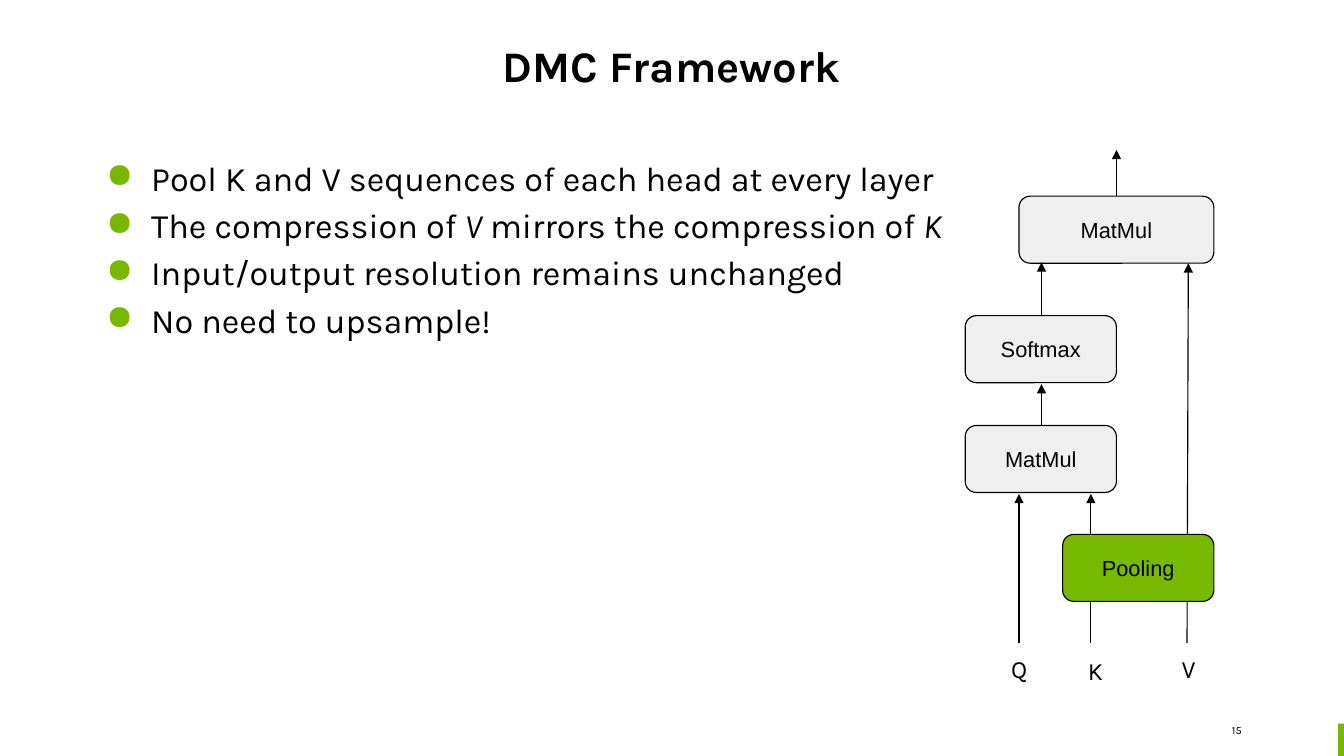
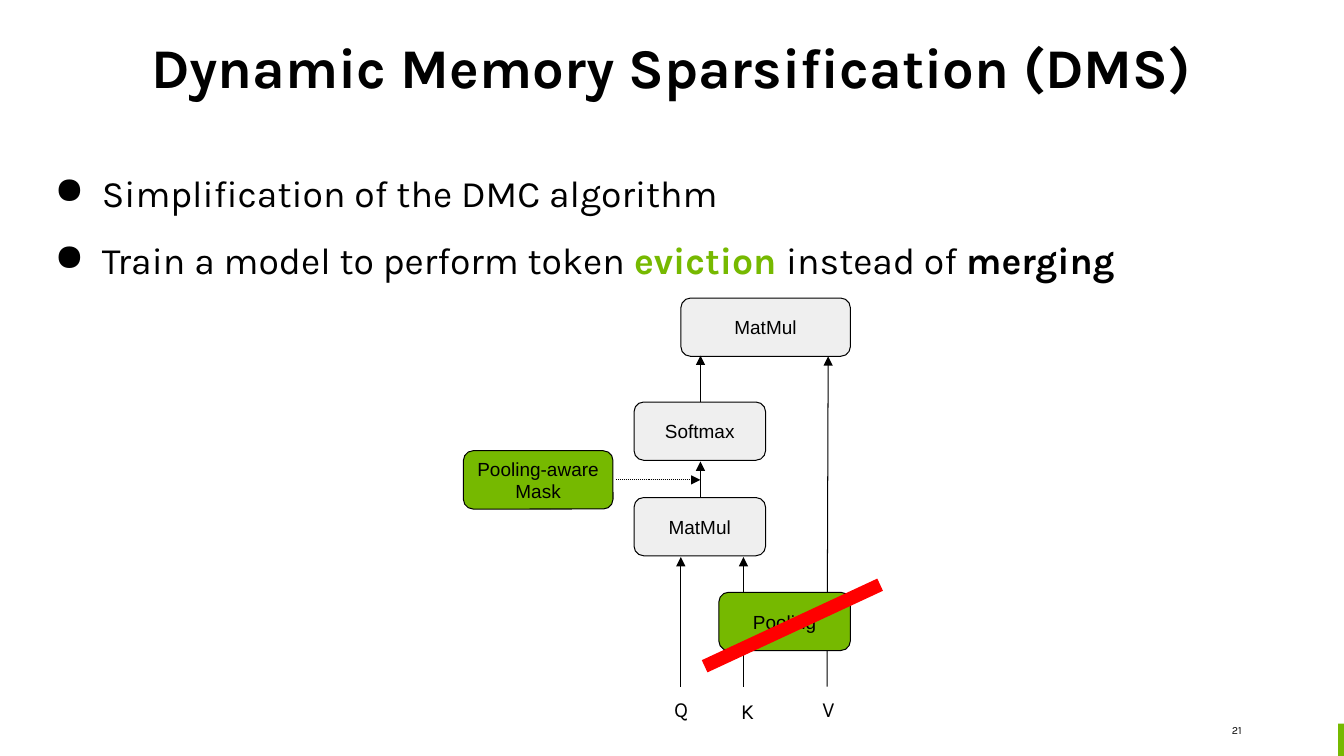
"""Builds two slides on pooling and evicting attention keys and values."""
import pptx
import pptx.dml.color
import pptx.enum.dml
import pptx.enum.shapes
import pptx.enum.text
import pptx.oxml.ns
import pptx.util
from lxml import etree
from pptx.util import Cm

GREEN = pptx.dml.color.RGBColor(0x76, 0xB9, 0x00)
GREY = pptx.dml.color.RGBColor(0xEF, 0xEF, 0xEF)
BLACK = pptx.dml.color.RGBColor(0x00, 0x00, 0x00)
RED = pptx.dml.color.RGBColor(0xFF, 0x00, 0x00)
TEXT_FONT = "Karla"
BOX_FONT = "Arial"
ALIGN = pptx.enum.text.PP_ALIGN
ANCHOR = pptx.enum.text.MSO_ANCHOR
SHAPE = pptx.enum.shapes.MSO_SHAPE
BOX_WIDTH = 3.43
BOX_HEIGHT = 1.52


def add_element(parent, tag, **attributes):
    return etree.SubElement(parent, pptx.oxml.ns.qn(tag), attributes)


class Deck:
    def __init__(self):
        self.presentation = pptx.Presentation()
        self.presentation.slide_width = Cm(30.48)
        self.presentation.slide_height = Cm(30.48) * 9 // 16
        self.slide = None

    def start_slide(self, title, top, size, number):
        self.slide = self.presentation.slides.add_slide(self.presentation.slide_layouts[5])
        shape = self.slide.shapes.title
        shape.left, shape.top, shape.width, shape.height = Cm(2.08), Cm(top), Cm(26.29), Cm(2.11)
        shape.text_frame.text = title
        self.format_frame(shape, 0.08, 0.03, ANCHOR.BOTTOM)
        paragraph = shape.text_frame.paragraphs[0]
        paragraph.line_spacing = 0.9
        self.format_paragraph(paragraph, size, ALIGN.CENTER, bold=True)
        self.block(SHAPE.RECTANGLE, 30.35, 16.41, 0.13, 0.74, GREEN)
        self.text(str(number), 21.51, 16.1, 6.68, 0.91, 7, ALIGN.RIGHT, 0.03, ANCHOR.MIDDLE)

    def format_frame(self, shape, side, edge, anchor):
        frame = shape.text_frame
        frame.auto_size = pptx.enum.text.MSO_AUTO_SIZE.NONE
        frame.word_wrap = True
        frame.vertical_anchor = anchor
        frame.margin_left = frame.margin_right = Cm(side)
        frame.margin_top = frame.margin_bottom = Cm(edge)

    def format_paragraph(self, paragraph, size, alignment, font=TEXT_FONT, bold=False):
        paragraph.alignment = alignment
        for run in paragraph.runs:
            run.font.name = font
            run.font.size = pptx.util.Pt(size)
            run.font.bold = bold
            run.font.color.rgb = BLACK

    def text(self, text, left, top, width, height, size, alignment, margin, anchor=ANCHOR.TOP):
        shape = self.slide.shapes.add_textbox(Cm(left), Cm(top), Cm(width), Cm(height))
        shape.text_frame.text = text
        self.format_frame(shape, margin, margin, anchor)
        self.format_paragraph(shape.text_frame.paragraphs[0], size, alignment)

    def bullets(self, items, left, top, width, height, margins, size, spacing, hanging, colour):
        shape = self.slide.shapes.add_textbox(Cm(left), Cm(top), Cm(width), Cm(height))
        self.format_frame(shape, *margins, ANCHOR.TOP)
        frame = shape.text_frame
        for index, pieces in enumerate(items):
            paragraph = frame.add_paragraph() if index else frame.paragraphs[0]
            properties = paragraph._p.get_or_add_pPr()
            properties.set("marL", str(Cm(1.27)))
            properties.set("indent", str(-Cm(hanging)))
            add_element(add_element(properties, "a:buClr"), "a:srgbClr", val=str(colour))
            add_element(properties, "a:buChar", char="●")
            paragraph.line_spacing = spacing
            for piece in pieces:
                paragraph.add_run().text = piece
            self.format_paragraph(paragraph, size, ALIGN.LEFT)
        return frame.paragraphs

    def block(self, kind, left, top, width, height, fill):
        shape = self.slide.shapes.add_shape(kind, Cm(left), Cm(top), Cm(width), Cm(height))
        shape.shadow.inherit = False
        shape.fill.solid()
        shape.fill.fore_color.rgb = fill
        shape.line.fill.background()
        return shape

    def box(self, text, left, top, width, fill, scale):
        shape = self.block(SHAPE.ROUNDED_RECTANGLE, left, top, width, BOX_HEIGHT * scale, fill)
        shape.line.color.rgb = BLACK
        shape.line.width = pptx.util.Pt(0.75 * scale)
        shape.text_frame.text = text
        self.format_frame(shape, 0.25 * scale, 0.25 * scale, ANCHOR.MIDDLE)
        self.format_paragraph(shape.text_frame.paragraphs[0], round(14 * scale, 1), ALIGN.CENTER, BOX_FONT)

    def line(self, start, end, width, colour=BLACK, arrow=True, dotted=False):
        connector = self.slide.shapes.add_connector(
            pptx.enum.shapes.MSO_CONNECTOR.STRAIGHT, *map(Cm, (*start, *end)))
        connector.line.color.rgb = colour
        connector.line.width = pptx.util.Pt(width)
        if dotted:
            connector.line.dash_style = pptx.enum.dml.MSO_LINE.ROUND_DOT
        if arrow:
            add_element(connector.line._get_or_add_ln(), "a:tailEnd", type="triangle")
        add_element(connector._element.spPr, "a:effectLst")

    def attention(self, left, top, scale, has_output=False, has_mask=False):
        def place(x, y):
            return left + x * scale, top + y * scale

        def box(text, x, y, width=BOX_WIDTH, fill=GREY):
            self.box(text, *place(x, y), width * scale, fill, scale)

        def arrow(x, y, end_x, end_y, dotted=False):
            self.line(place(x, y), place(end_x, end_y), 0.75 * scale, dotted=dotted)

        box("MatMul", 0, 5.2)
        box("Softmax", 0, 2.71)
        box("MatMul", 1.22, 0, 4.42)
        arrow(2.85, 10.13, 2.85, 6.75)
        arrow(1.22, 10.13, 1.22, 6.75)
        arrow(1.73, 5.2, 1.73, 4.26)
        arrow(1.73, 2.71, 1.73, 1.5)
        arrow(5.03, 10.13, 5.06, 1.52)
        if has_output:
            arrow(3.43, 0, 3.43, -1.05)
        if has_mask:
            box("Pooling-aware Mask", -4.45, 3.98, 3.9, GREEN)
            arrow(-0.47, 4.74, 1.73, 4.74, dotted=True)
        for letter, x, y in (("Q", 0.69, 10.13), ("K", 2.42, 10.16), ("V", 4.53, 10.13)):
            self.text(letter, *place(x, y), 1.07 * scale, 1.19 * scale,
                      round(16 * scale, 1), ALIGN.CENTER, 0.25 * scale)
        box("Pooling", 2.21, 7.67, fill=GREEN)


def build_framework(deck):
    deck.start_slide("DMC Framework", 0, 28, 15)
    paragraphs = deck.bullets(
        [["Pool K and V sequences of each head at every layer"],
         ["The compression of ", "V", " mirrors the compression of ", "K"],
         ["Input/output resolution remains unchanged"],
         ["No need to upsample!"]],
        2.08, 3.4, 26.29, 11.38, (0.08, 0.03), 22, 1.15, 1.02, GREEN)
    for run in paragraphs[1].runs[1::2]:
        run.font.italic = True
    deck.attention(21.89, 4.45, 1, has_output=True)


def build_sparsification(deck):
    deck.start_slide("Dynamic Memory Sparsification (DMS)", 0.2, 36, 21)
    paragraphs = deck.bullets(
        [["Simplification of the DMC algorithm"],
         ["Train a model to perform token ", "eviction ", "instead of ", "merging"]],
        0.79, 3.1, 28.91, 3.07, (0.25, 0.25), 24, 1.5, 1.07, BLACK)
    for run in paragraphs[1].runs[1::2]:
        run.font.bold = True
    paragraphs[1].runs[1].font.color.rgb = GREEN
    deck.attention(14.38, 6.76, 0.87, has_mask=True)
    deck.line((15.98, 15.11), (19.96, 13.26), 8.65, RED, arrow=False)


def main():
    deck = Deck()
    build_framework(deck)
    build_sparsification(deck)
    deck.presentation.save("out.pptx")


if __name__ == "__main__":
    main()
